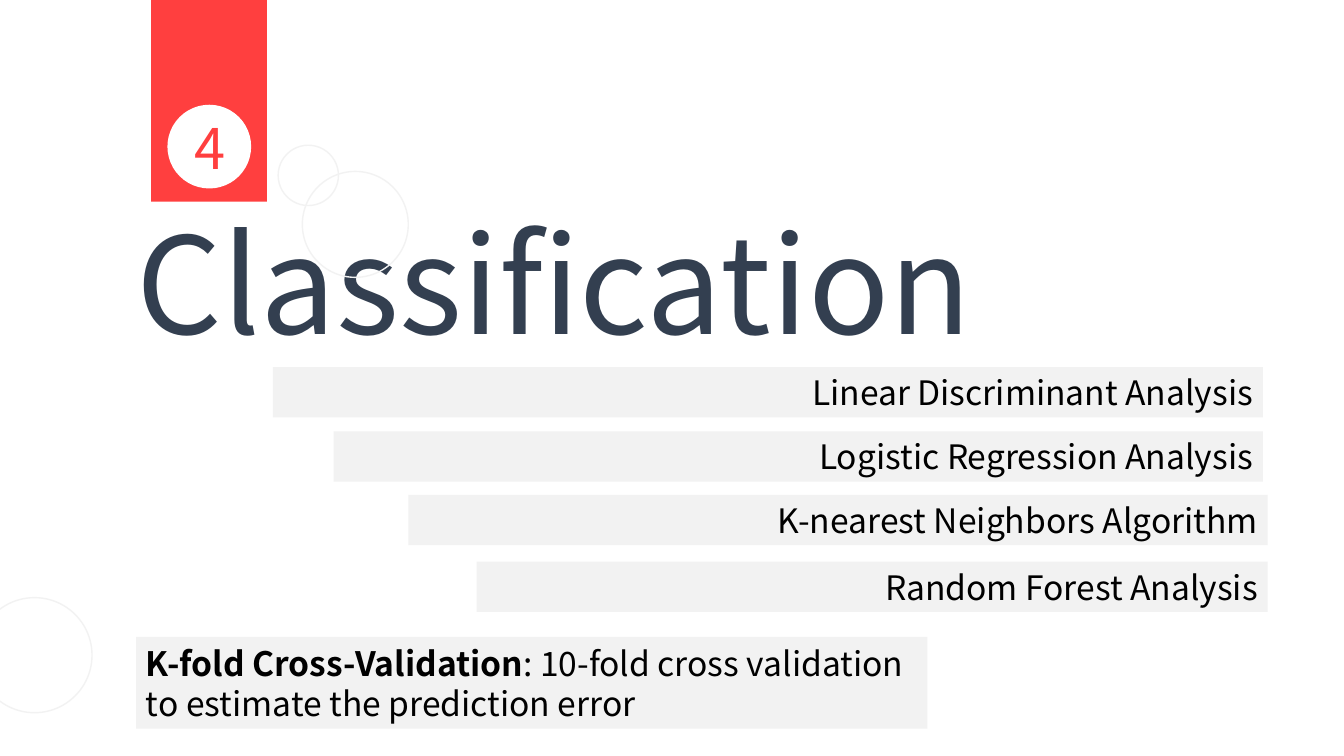
"""Build the section slide that introduces the classification methods."""
from dataclasses import dataclass
from typing import Optional

from pptx import Presentation
from pptx.dml.color import RGBColor
from pptx.enum.shapes import MSO_SHAPE as Preset
from pptx.enum.text import MSO_ANCHOR as Anchor, PP_ALIGN as Align
from pptx.util import Cm, Pt

COLORS = {
    "red": "FF3F3F",
    "white": "FFFFFF",
    "gray": "F2F2F2",
    "navy": "333F50",
    "black": "000000",
}
FONT = "Noto Sans CJK SC"


@dataclass(frozen=True)
class Box:
    left: float
    top: float
    width: float
    height: float

    def lengths(self) -> tuple:
        return Cm(self.left), Cm(self.top), Cm(self.width), Cm(self.height)


@dataclass(frozen=True)
class Run:
    text: str
    size: int = 24
    color: str = "black"
    bold: bool = False


@dataclass(frozen=True)
class MethodBar:
    text: str
    left: float
    top: float
    right: float


@dataclass(frozen=True)
class Ring:
    left: float
    top: float
    diameter: float


METHOD_BARS = [
    MethodBar("Linear Discriminant Analysis", 6.88, 9.25, 31.83),
    MethodBar("Logistic Regression Analysis", 8.41, 10.87, 31.83),
    MethodBar("K-nearest Neighbors Algorithm", 10.29, 12.47, 31.95),
    MethodBar("Random Forest Analysis", 12.01, 14.15, 31.95),
]
BAR_HEIGHT = 1.27
RINGS = [Ring(7.01, 3.66, 1.52), Ring(-0.58, 15.06, 2.9), Ring(7.62, 4.32, 2.67)]
VALIDATION_RUNS = [
    Run("K-fold Cross-Validation", bold=True),
    Run(": 10-fold cross validation to estimate the prediction error"),
]


def rgb(name: str) -> RGBColor:
    return RGBColor.from_string(COLORS[name])


def write(shape, runs: list[Run], align: Align = Align.LEFT, wrap: bool = True) -> None:
    frame = shape.text_frame
    frame.word_wrap = wrap
    frame.vertical_anchor = Anchor.MIDDLE
    paragraph = frame.paragraphs[0]
    paragraph.alignment = align
    for item in runs:
        run = paragraph.add_run()
        run.text = item.text
        run.font.name = FONT
        run.font.size = Pt(item.size)
        run.font.bold = item.bold
        run.font.color.rgb = rgb(item.color)


def add_preset(slide, preset: Preset, box: Box, fill: Optional[str] = None,
               line: Optional[str] = None):
    shape = slide.shapes.add_shape(preset, *box.lengths())
    shape.shadow.inherit = False
    if fill:
        shape.fill.solid()
        shape.fill.fore_color.rgb = rgb(fill)
    else:
        shape.fill.background()
    if line:
        shape.line.color.rgb = rgb(line)
        shape.line.width = Pt(1)
    else:
        shape.line.fill.background()
    return shape


def add_method_bar(slide, bar: MethodBar) -> None:
    box = Box(bar.left, bar.top, bar.right - bar.left, BAR_HEIGHT)
    shape = add_preset(slide, Preset.RECTANGLE, box, fill="gray")
    write(shape, [Run(bar.text)], Align.RIGHT)


def add_ring(slide, ring: Ring) -> None:
    box = Box(ring.left, ring.top, ring.diameter, ring.diameter)
    add_preset(slide, Preset.OVAL, box, line="gray")


def main() -> None:
    presentation = Presentation()
    presentation.slide_width = Cm(33.87)
    presentation.slide_height = Cm(19.05)
    slide = presentation.slides.add_slide(presentation.slide_layouts[6])

    title = slide.shapes.add_textbox(*Box(3.2, 4.9, 28.75, 4.37).lengths())
    write(title, [Run("Classification", 96, "navy")])

    add_preset(slide, Preset.RECTANGLE, Box(3.81, 0, 2.92, 5.08), fill="red")
    add_preset(slide, Preset.OVAL, Box(4.22, 2.64, 2.11, 2.11), fill="white")
    number = slide.shapes.add_textbox(*Box(4.65, 2.72, 1.27, 1.96).lengths())
    write(number, [Run("4", 40, "red")], Align.CENTER, wrap=False)

    for ring in RINGS:
        add_ring(slide, ring)
    for bar in METHOD_BARS:
        add_method_bar(slide, bar)

    validation = add_preset(
        slide, Preset.RECTANGLE, Box(3.43, 16.05, 19.94, 2.31), fill="gray")
    write(validation, VALIDATION_RUNS)

    presentation.save("out.pptx")


if __name__ == "__main__":
    main()
